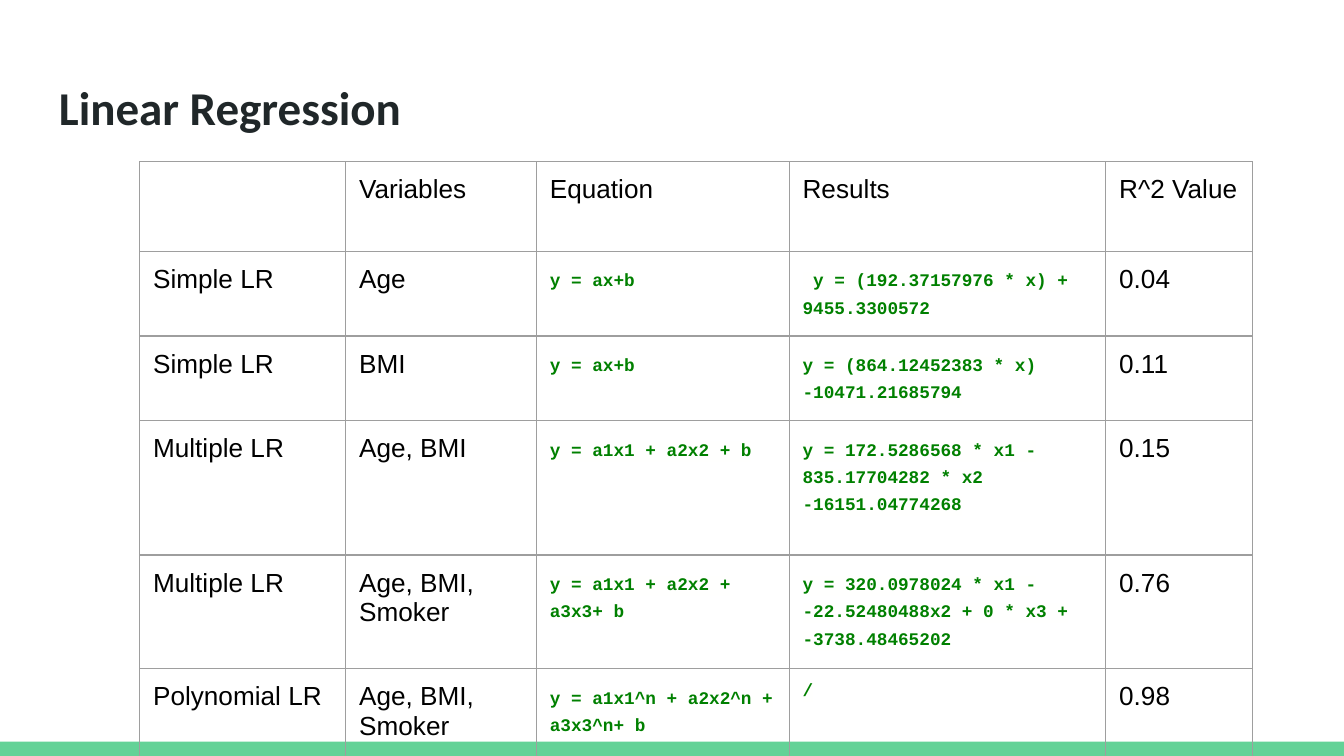
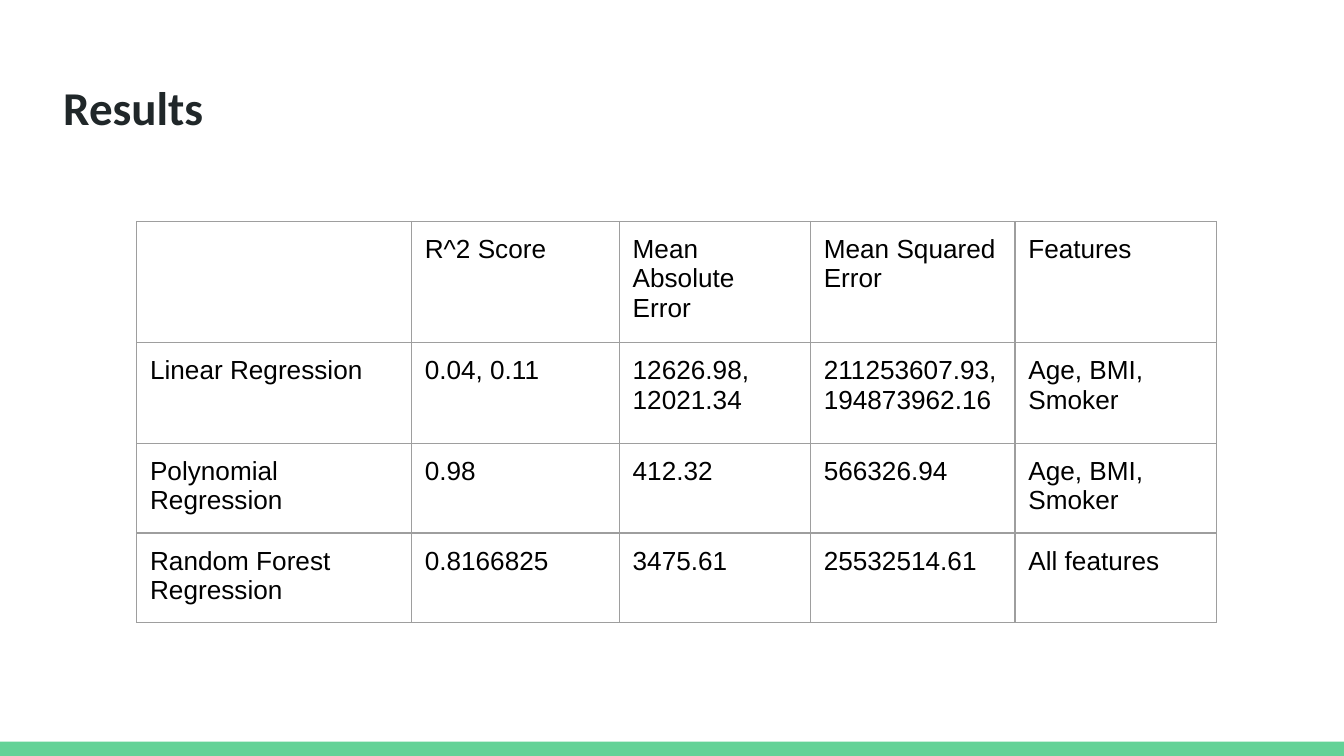
from lxml import etree
from pptx import Presentation
from pptx.dml.color import RGBColor
from pptx.enum.shapes import MSO_SHAPE
from pptx.oxml.ns import qn
from pptx.util import Pt

RECTANGLE = MSO_SHAPE.RECTANGLE
SLIDE_WIDTH, SLIDE_HEIGHT = 720, 405
BAND_HEIGHT = 7.7
INSET = 7.2
GREEN, INK, BLACK = "63D297", "202729", "000000"
FORMULA_GREEN, FORMULA_BACK, GRID = "008000", "FFFFFE", "9E9E9E"

REGRESSION_ROWS = [
    ["", "Variables", "Equation", "Results", "R^2 Value"],
    ["Simple LR", "Age", "y = ax+b",
     " y = (192.37157976 * x) + 9455.3300572", "0.04"],
    ["Simple LR", "BMI", "y = ax+b",
     "y = (864.12452383 * x) -10471.21685794", "0.11"],
    ["Multiple LR", "Age, BMI", "y = a1x1 + a2x2 + b",
     "y = 172.5286568 * x1 - 835.17704282 * x2 -16151.04774268", "0.15"],
    ["Multiple LR", "Age, BMI, Smoker", "y = a1x1 + a2x2 + a3x3+ b",
     "y = 320.0978024 * x1 - -22.52480488x2 + 0 * x3 + -3738.48465202", "0.76"],
    ["Polynomial LR", "Age, BMI, Smoker", "y = a1x1^n + a2x2^n + a3x3^n+ b",
     "/", "0.98"],
]
SCORE_ROWS = [
    ["", "R^2 Score", "Mean Absolute Error", "Mean Squared\nError", "Features"],
    ["Linear Regression", "0.04, 0.11", "12626.98, 12021.34",
     "211253607.93, 194873962.16", "Age, BMI, Smoker"],
    ["Polynomial Regression", "0.98", "412.32", "566326.94", "Age, BMI, Smoker"],
    ["Random Forest Regression", "0.8166825", "3475.61", "25532514.61",
     "All features"],
]


def color(value):
    return RGBColor.from_string(value)


def set_insets(holder):
    holder.margin_left = holder.margin_right = Pt(INSET)
    holder.margin_top = holder.margin_bottom = Pt(INSET)


def add_run(paragraph, text, size, font, ink, bold=False, highlight=None):
    run = paragraph.add_run()
    run.text = text
    run.font.size = Pt(size)
    run.font.bold = bold
    run.font.color.rgb = color(ink)
    if highlight:
        mark = etree.SubElement(run.font.fill._xPr, qn("a:highlight"))
        etree.SubElement(mark, qn("a:srgbClr"), val=highlight)
    run.font.name = font


def add_band(slide):
    band = slide.shapes.add_shape(
        RECTANGLE, 0, Pt(SLIDE_HEIGHT - BAND_HEIGHT), Pt(SLIDE_WIDTH), Pt(BAND_HEIGHT))
    band.shadow.inherit = False
    band.fill.solid()
    band.fill.fore_color.rgb = color(GREEN)
    band.line.fill.background()


def add_title(slide, text, left, top=35, width=671, height=45):
    frame = slide.shapes.add_textbox(Pt(left), Pt(top), Pt(width), Pt(height)).text_frame
    frame.word_wrap = True
    set_insets(frame)
    add_run(frame.paragraphs[0], text, 25.2, "Calibri", INK, bold=True)


def outline_cell(cell):
    properties = cell._tc.get_or_add_tcPr()
    for side in ("lnL", "lnR", "lnT", "lnB"):
        edge = etree.SubElement(properties, qn("a:" + side), w=str(Pt(0.75)))
        fill = etree.SubElement(edge, qn("a:solidFill"))
        etree.SubElement(fill, qn("a:srgbClr"), val=GRID)


def fill_cell(cell, text, is_formula):
    set_insets(cell)
    outline_cell(cell)
    cell.fill.background()
    for index, line in enumerate(text.split("\n") if text else []):
        frame = cell.text_frame
        paragraph = frame.add_paragraph() if index else frame.paragraphs[0]
        if is_formula:
            if "=" in line:
                paragraph.line_spacing = 1.36
            add_run(paragraph, line, 9.5, "Courier New", FORMULA_GREEN,
                    bold=True, highlight=FORMULA_BACK)
        else:
            add_run(paragraph, line, 14, "Arial", BLACK)


def add_grid(slide, left, top, widths, heights, rows, formula_columns=()):
    grid = slide.shapes.add_table(
        len(rows), len(widths), Pt(left), Pt(top), Pt(sum(widths)), Pt(sum(heights))).table
    grid.first_row = grid.horz_banding = False
    for column, width in zip(grid.columns, widths):
        column.width = Pt(width)
    for row, height in zip(grid.rows, heights):
        row.height = Pt(height)
    for r, texts in enumerate(rows):
        for c, text in enumerate(texts):
            fill_cell(grid.cell(r, c), text, r > 0 and c in formula_columns)


def add_table_slide(deck, title, title_left, **grid):
    slide = deck.slides.add_slide(deck.slide_layouts[6])
    add_band(slide)
    add_title(slide, title, title_left)
    add_grid(slide, **grid)


def main():
    deck = Presentation()
    deck.slide_width, deck.slide_height = Pt(SLIDE_WIDTH), Pt(SLIDE_HEIGHT)
    add_table_slide(
        deck, "Linear Regression", 24.5, left=74.8, top=86.6,
        widths=[110.4, 102.2, 135.4, 169.6, 78.6],
        heights=[48, 41, 41, 72, 57, 48],
        rows=REGRESSION_ROWS, formula_columns=(2, 3))
    add_table_slide(
        deck, "Results", 26.8, left=73.2, top=118.6,
        widths=[147.2, 111.4, 102.4, 109.6, 108],
        heights=[61.2, 54, 45, 46], rows=SCORE_ROWS)
    deck.save("out.pptx")


if __name__ == "__main__":
    main()
